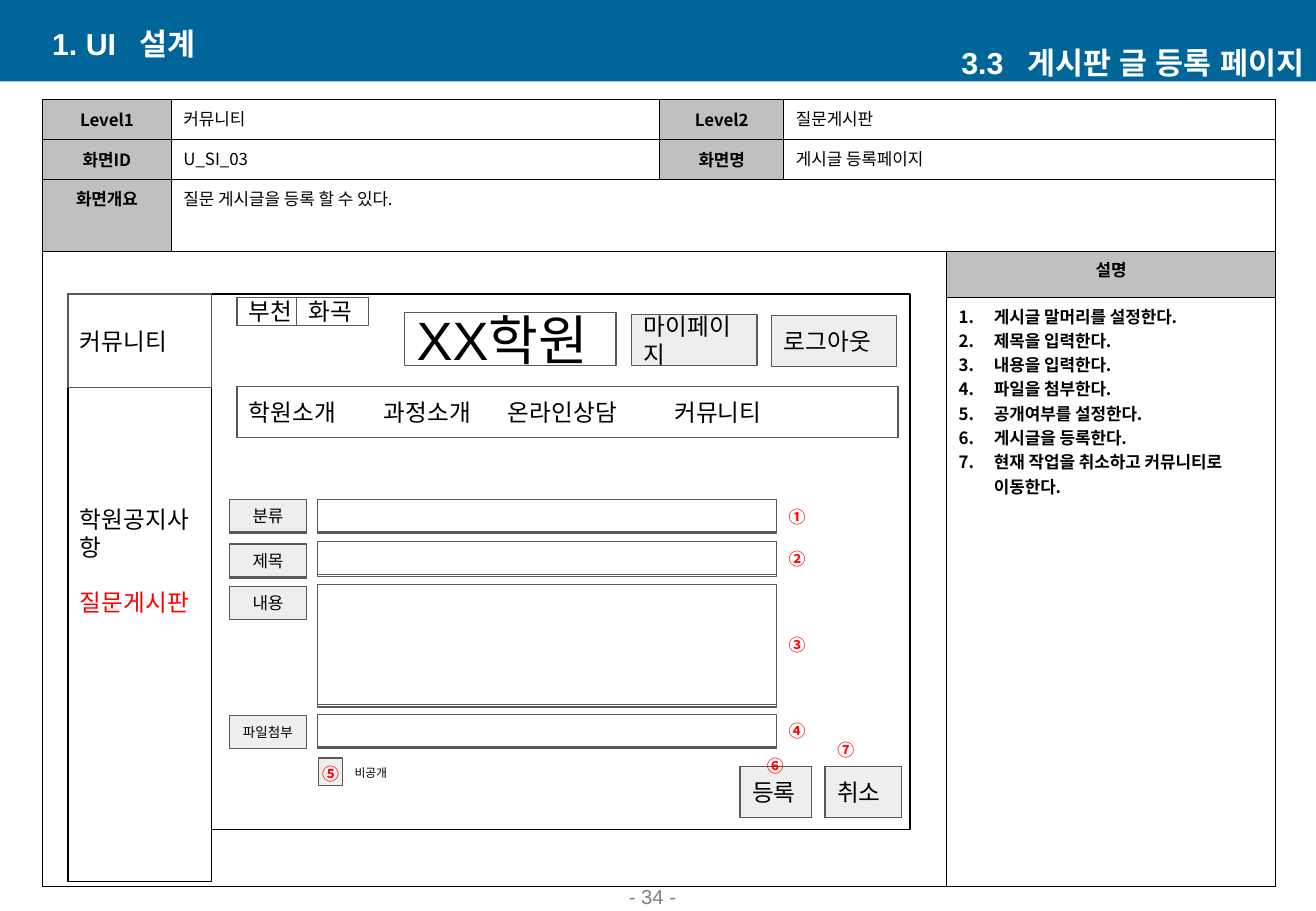
"""Builds the UI design slide for the board post registration page."""
import pptx
import pptx.dml.color
import pptx.enum.shapes
import pptx.enum.text
import pptx.oxml.ns
import pptx.util
import lxml.etree

RGBColor = pptx.dml.color.RGBColor
ALIGN = pptx.enum.text.PP_ALIGN
ANCHOR = pptx.enum.text.MSO_ANCHOR
Inches = pptx.util.Inches
Pt = pptx.util.Pt
qn = pptx.oxml.ns.qn
SubElement = lxml.etree.SubElement

BLACK = RGBColor(0, 0, 0)
WHITE = RGBColor(255, 255, 255)
RED = RGBColor(255, 0, 0)
BLUE = RGBColor(0x00, 0x66, 0x99)
GREY = RGBColor(0x80, 0x80, 0x80)
HEAD = RGBColor(0xC0, 0xC0, 0xC0)
BUTTON = RGBColor(0xEE, 0xEE, 0xEE)
EDGE = RGBColor(0x59, 0x59, 0x59)
SANS = "Arial"
KOREAN = "Noto Sans CJK KR"
SLIDE_W, SLIDE_H = 10.83, 7.5

prs = pptx.Presentation()
prs.slide_width, prs.slide_height = Inches(SLIDE_W), Inches(SLIDE_H)
s = prs.slides.add_slide(prs.slide_layouts[6])


def write(p, text, size, color=BLACK, bold=False, font=SANS, align=ALIGN.LEFT):
    """Add one run to a paragraph."""
    p.alignment = align
    r = p.add_run()
    r.text = text
    r.font.size, r.font.bold, r.font.name = Pt(size), bold, font
    r.font.color.rgb = color
    SubElement(r.font._element, qn("a:ea")).set("typeface", font)
    return r


def box(x, y, w, h, text="", size=14, fill=WHITE, line=EDGE, align=ALIGN.LEFT):
    """Add a rectangle with centred-height text."""
    sp = s.shapes.add_shape(pptx.enum.shapes.MSO_SHAPE.RECTANGLE,
                            Inches(x), Inches(y), Inches(w), Inches(h))
    sp.shadow.inherit = False
    sp.fill.solid()
    sp.fill.fore_color.rgb = fill
    if line is None:
        sp.line.fill.background()
    else:
        sp.line.color.rgb = line
        sp.line.width = Pt(0.75)
    tf = sp.text_frame
    tf.word_wrap = True
    tf.vertical_anchor = ANCHOR.MIDDLE
    tf.margin_left = tf.margin_right = tf.margin_top = tf.margin_bottom = Inches(0.1)
    if text:
        write(tf.paragraphs[0], text, size, align=align)
    return tf


box(0, 0, SLIDE_W, 0.67, fill=BLUE, line=None)
box(0.56, 2.42, 6.93, 4.41, line=BLACK)

cols = [1.06, 4.02, 1.02, 1.34, 2.71]
rows = [0.33, 0.33, 0.59, 0.38, 4.85]
tbl = s.shapes.add_table(len(rows), len(cols), Inches(0.35), Inches(0.82),
                         Inches(sum(cols)), Inches(sum(rows))).table
tbl.first_row = tbl.horz_banding = False
for column, width in zip(tbl.columns, cols):
    column.width = Inches(width)
for row, height in zip(tbl.rows, rows):
    row.height = Inches(height)

heads = {(0, 0): "Level1", (0, 2): "Level2", (1, 0): "화면ID", (1, 2): "화면명",
         (2, 0): "화면개요", (3, 4): "설명"}
values = {(0, 1): "커뮤니티", (0, 3): "질문게시판", (1, 1): "U_SI_03",
          (1, 3): "게시글 등록페이지", (2, 1): "질문 게시글을 등록 할 수 있다."}
steps = ["게시글 말머리를 설정한다.", "제목을 입력한다.", "내용을 입력한다.",
         "파일을 첨부한다.", "공개여부를 설정한다.", "게시글을 등록한다.",
         "현재 작업을 취소하고 커뮤니티로 이동한다."]

for i in range(len(rows)):
    for j in range(len(cols)):
        cell = tbl.cell(i, j)
        tcPr = cell._tc.get_or_add_tcPr()
        for side in ("a:lnL", "a:lnR", "a:lnT", "a:lnB"):
            ln = SubElement(tcPr, qn(side), w=str(Pt(1)))
            SubElement(SubElement(ln, qn("a:solidFill")), qn("a:srgbClr"), val=str(BLACK))
        p = cell.text_frame.paragraphs[0]
        if (i, j) in heads:
            cell.fill.solid()
            cell.fill.fore_color.rgb = HEAD
            cell.vertical_anchor = ANCHOR.MIDDLE if i < 2 else ANCHOR.TOP
            write(p, heads[i, j], 10, bold=True, font=KOREAN, align=ALIGN.CENTER)
            continue
        cell.fill.background()
        if (i, j) in values:
            write(p, values[i, j], 10, font=KOREAN)
        else:
            cell.margin_top = cell.margin_bottom = 0

for first, last in [((0, 3), (0, 4)), ((1, 3), (1, 4)), ((2, 1), (2, 4)), ((3, 0), (4, 3))]:
    tbl.cell(*first).merge(tbl.cell(*last))

cell = tbl.cell(4, 4)
cell.margin_top = Inches(0.05)
for n, step in enumerate(steps):
    p = cell.text_frame.add_paragraph() if n else cell.text_frame.paragraphs[0]
    write(p, step, 10, bold=True, font=KOREAN)
    pPr = p._p.get_or_add_pPr()
    pPr.set("marL", str(Inches(0.29)))
    pPr.set("indent", str(Inches(-0.29)))
    SubElement(pPr, qn("a:buAutoNum"), type="arabicPeriod")

titles = [(0.33, 0.19, "1. UI", "설계", ALIGN.LEFT),
          (6.45, 0.35, "3.3", "게시판 글 등록 페이지", ALIGN.RIGHT)]
for x, y, number, title, align in titles:
    tf = s.shapes.add_textbox(Inches(x), Inches(y), Inches(4.38), Inches(0.33)).text_frame
    tf.word_wrap = True
    tf.vertical_anchor = ANCHOR.MIDDLE
    p = tf.paragraphs[0]
    write(p, number, 18, WHITE, True, align=align)
    gap = write(p, " ", 18, WHITE, True, align=align)
    gap.font._element.set("spc", "900")
    write(p, title, 18, WHITE, True, align=align)

tf = box(0.56, 2.43, 1.18, 4.83, "학원공지사항", line=BLACK)
tf.margin_bottom = Inches(0.56)
p = tf.add_paragraph()
p.space_before = Pt(16)
write(p, "질문게시판", 14, RED)
box(0.56, 2.42, 1.18, 0.77, "커뮤니티")

box(3.33, 2.57, 1.74, 0.44, "XX학원", 32)
box(5.2, 2.59, 1.03, 0.42, "마이페이지", fill=BUTTON)
box(6.35, 2.6, 1.03, 0.42, "로그아웃", fill=BUTTON)
box(1.95, 2.45, 0.71, 0.23, "부천")
box(2.44, 2.45, 0.59, 0.23, "화곡")

tf = box(1.95, 3.18, 5.44, 0.42, "학원소개\t과정소개\t온라인상담\t커뮤니티")
tabs = SubElement(tf.paragraphs[0]._p.get_or_add_pPr(), qn("a:tabLst"))
for stop in (1.11, 2.13, 3.5):
    SubElement(tabs, qn("a:tab"), pos=str(Inches(stop)), algn="l")

LABEL_X, LABEL_W, FIELD_X, FIELD_W, ROW_H = 1.89, 0.63, 2.61, 3.78, 0.27
form = [("분류", 10, 4.11, 4.11, ROW_H, 0.01), ("제목", 10, 4.48, 4.46, ROW_H, 0.02),
        ("내용", 10, 4.83, 4.81, 0.99, 0.02), ("파일첨부", 8, 5.89, 5.88, ROW_H, 0.01)]
for label, size, label_y, field_y, field_h, drop in form:
    if label in ("분류", "제목"):
        box(LABEL_X, label_y + 0.01, LABEL_W, ROW_H, fill=BUTTON)
    box(LABEL_X, label_y, LABEL_W, ROW_H, label, size, BUTTON, align=ALIGN.CENTER)
    for offset in (drop, 0):
        box(FIELD_X, field_y + offset, FIELD_W, field_h)

box(6.09, 6.31, 0.59, 0.42, "등록", fill=BUTTON)
box(6.79, 6.31, 0.63, 0.42, "취소", fill=BUTTON)
box(2.62, 6.24, 0.2, 0.23, fill=BUTTON)

marks = [("①", 6.39, 4.12), ("②", 6.39, 4.47), ("③", 6.39, 5.18), ("④", 6.39, 5.88),
         ("⑤", 2.55, 6.24), ("⑥", 6.21, 6.17), ("⑦", 6.79, 6.04)]
for mark, x, y in marks:
    tf = s.shapes.add_textbox(Inches(x), Inches(y), Inches(0.34), Inches(0.27)).text_frame
    write(tf.paragraphs[0], mark, 10, RED, True, KOREAN, ALIGN.CENTER)

tf = s.shapes.add_textbox(Inches(2.82), Inches(6.2), Inches(1.01), Inches(0.32)).text_frame
tf.word_wrap = True
tf.margin_top = Inches(0.1)
write(tf.paragraphs[0], "비공개", 7)

tf = s.shapes.add_textbox(Inches(4.24), Inches(7.27), Inches(2.26), Inches(0.23)).text_frame
tf.word_wrap = True
tf.vertical_anchor = ANCHOR.BOTTOM
tf.margin_top = tf.margin_bottom = Inches(0.02)
write(tf.paragraphs[0], "- 34 -", 12, GREY, align=ALIGN.CENTER)

prs.save("out.pptx")
